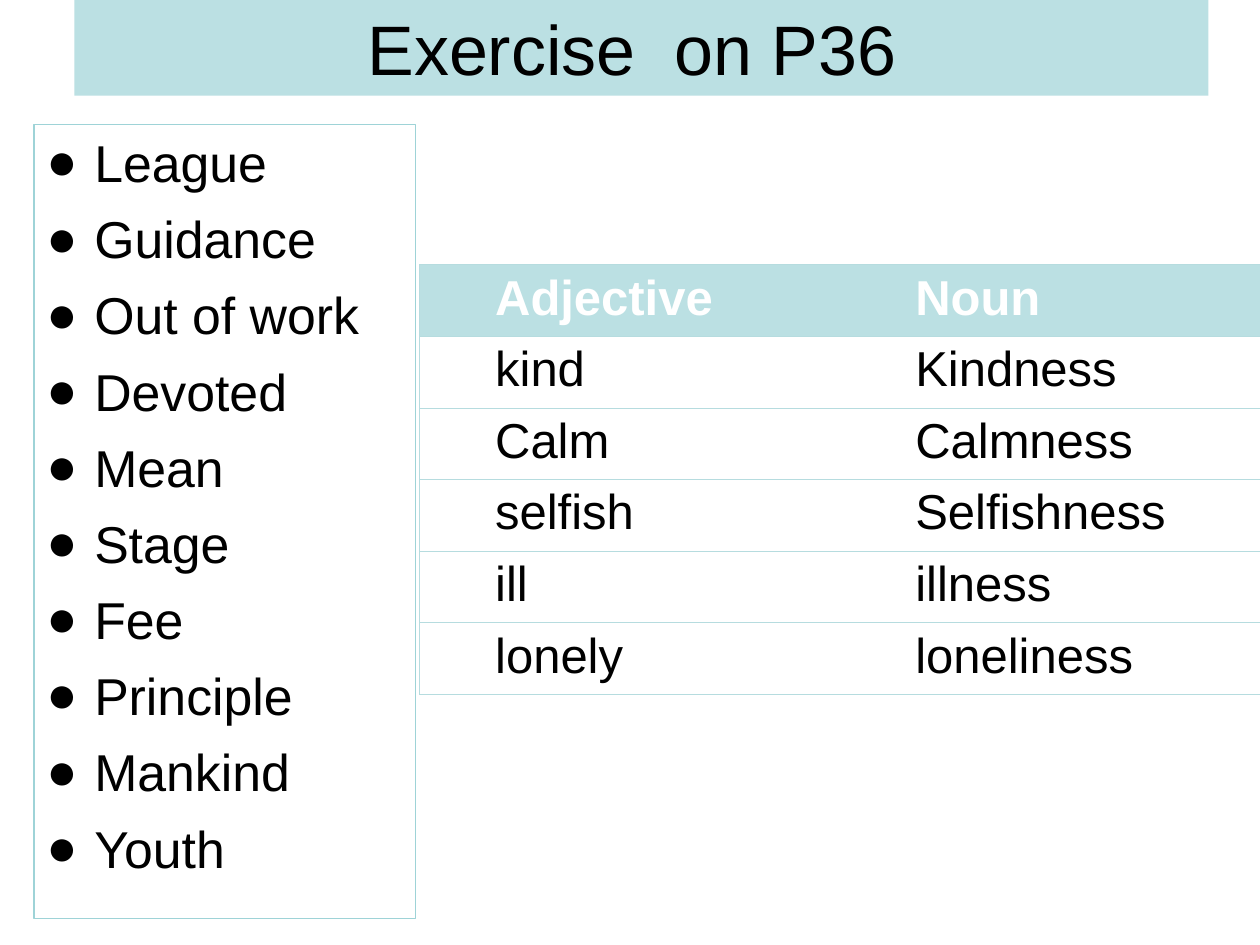
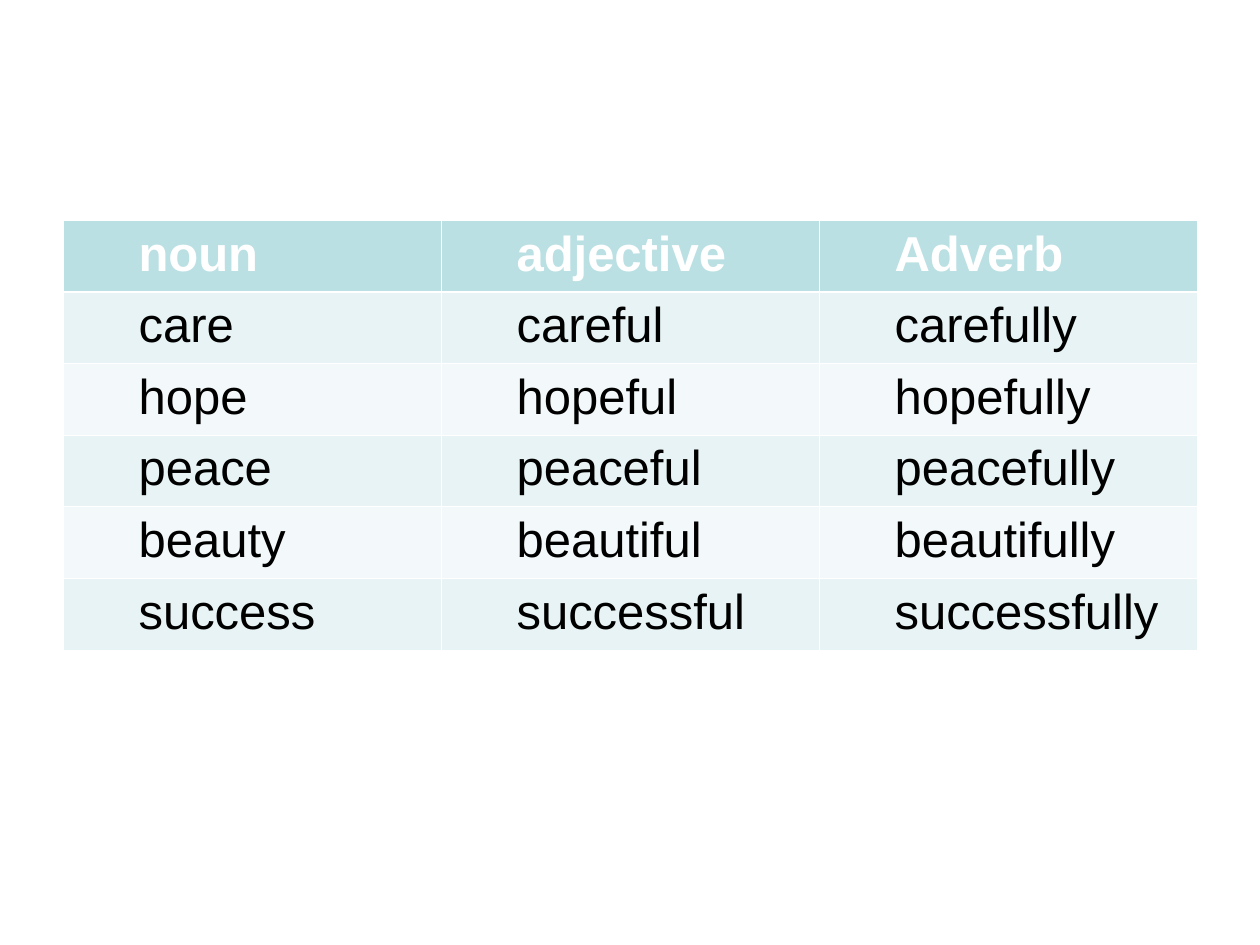
import pptx
import pptx.util
import pptx.dml.color
import pptx.enum.shapes
import pptx.enum.text
import pptx.oxml.ns
import lxml.etree
from dataclasses import dataclass

Inches, Pt = pptx.util.Inches, pptx.util.Pt

# Content
TITLE = "Exercise  on P36"
WORDS = ["League", "Guidance", "Out of work", "Devoted", "Mean",
         "Stage", "Fee", "Principle", "Mankind", "Youth"]
NOUN_ROWS = [
    ("Adjective", "Noun"),
    ("kind", "Kindness"),
    ("Calm", "Calmness"),
    ("selfish", "Selfishness"),
    ("ill", "illness"),
    ("lonely", "loneliness"),
]
ADVERB_ROWS = [
    ("noun", "adjective", "Adverb"),
    ("care", "careful", "carefully"),
    ("hope", "hopeful", "hopefully"),
    ("peace", "peaceful", "peacefully"),
    ("beauty", "beautiful", "beautifully"),
    ("success", "successful", "successfully"),
]


@dataclass(frozen=True)
class Theme:
    font: str = "Arial"
    text: str = "000000"
    white: str = "FFFFFF"
    accent: str = "BBE0E3"
    list_line: str = "9ED3D7"
    grid_line: str = "B6DCDF"
    bands: tuple = ("E7F3F4", "F3F9FA")
    title_size: float = 40
    list_size: float = 29.6
    table_size: float = 28
    thin: float = 0.34
    rule: float = 0.45
    header_rule: float = 1.47


THEME = Theme()


def rgb(color):
    return pptx.dml.color.RGBColor.from_string(color)


def format_runs(p, size, color, bold=False):
    for r in p.runs:
        r.font.name = THEME.font
        r.font.size = Pt(size)
        r.font.bold = bold
        r.font.color.rgb = rgb(color)


def sub(parent, tag, **attrs):
    return lxml.etree.SubElement(parent, pptx.oxml.ns.qn(tag), attrs)


def set_indent(p, left, first=0):
    pPr = p._p.get_or_add_pPr()
    pPr.set("marL", str(Inches(left)))
    pPr.set("indent", str(Inches(first)))
    return pPr


def add_box(slide, left, top, width, height, fill=None, line=None):
    sp = slide.shapes.add_shape(pptx.enum.shapes.MSO_SHAPE.RECTANGLE, Inches(left),
                                Inches(top), Inches(width), Inches(height))
    sp.shadow.inherit = False
    if fill:
        sp.fill.solid()
        sp.fill.fore_color.rgb = rgb(fill)
    else:
        sp.fill.background()
    if line:
        sp.line.color.rgb = rgb(line)
        sp.line.width = Pt(0.75)
    else:
        sp.line.fill.background()
    return sp


def add_title(slide, text):
    sp = add_box(slide, 0.59, 0, 9, 0.76, fill=THEME.accent)
    tf = sp.text_frame
    tf.text = text
    tf.margin_right = Inches(0.25)
    tf.vertical_anchor = pptx.enum.text.MSO_ANCHOR.MIDDLE
    p = tf.paragraphs[0]
    p.alignment = pptx.enum.text.PP_ALIGN.CENTER
    format_runs(p, THEME.title_size, THEME.text)


def add_word_list(slide, words):
    sp = add_box(slide, 0.27, 0.99, 3.03, 6.3, line=THEME.list_line)
    tf = sp.text_frame
    tf.text = "\n".join(words)
    tf.vertical_anchor = pptx.enum.text.MSO_ANCHOR.TOP
    for i, p in enumerate(tf.paragraphs):
        p.alignment = pptx.enum.text.PP_ALIGN.LEFT
        p.space_before = Pt(8 if i else 0)
        pPr = set_indent(p, 0.38, -0.38)
        sub(sub(pPr, "a:buClr"), "a:srgbClr", val=THEME.text)
        sub(pPr, "a:buFont", typeface=THEME.font)
        sub(pPr, "a:buChar", char="●")
        format_runs(p, THEME.list_size, THEME.text)


def set_borders(cell, borders):
    """Draw the given sides as (colour, width) and clear the others."""
    tcPr = cell._tc.get_or_add_tcPr()
    for i, side in enumerate("LRTB"):
        color, width = borders.get(side, (None, 0))
        ln = lxml.etree.Element(pptx.oxml.ns.qn("a:ln" + side), w=str(Pt(width)))
        if color:
            sub(sub(ln, "a:solidFill"), "a:srgbClr", val=color)
        else:
            sub(ln, "a:noFill")
        tcPr.insert(i, ln)


def outline_borders(row, col, columns):
    line = (THEME.grid_line, THEME.thin)
    borders = {"T": line, "B": line}
    if col == 0:
        borders["L"] = line
    if col == columns - 1:
        borders["R"] = line
    return borders


def grid_borders(row, col, columns):
    borders = dict.fromkeys("LRTB", (THEME.white, THEME.rule))
    if row < 2:
        borders["B" if row == 0 else "T"] = (THEME.white, THEME.header_rule)
    return borders


def add_word_table(slide, rows, left, top, width, borders, bands=None):
    columns = len(rows[0])
    frame = slide.shapes.add_table(len(rows), columns, Inches(left), Inches(top),
                                   Inches(width), Inches(3.41))
    table = frame.table
    for r, words in enumerate(rows):
        header = r == 0
        for c, word in enumerate(words):
            cell = table.cell(r, c)
            cell.text = word
            p = cell.text_frame.paragraphs[0]
            set_indent(p, 0.5)
            format_runs(p, THEME.table_size, THEME.white if header else THEME.text, header)
            fill = THEME.accent if header else bands and bands[(r - 1) % len(bands)]
            if fill:
                cell.fill.solid()
                cell.fill.fore_color.rgb = rgb(fill)
            else:
                cell.fill.background()
            set_borders(cell, borders(r, c, columns))


def main():
    prs = pptx.Presentation()
    prs.slide_width, prs.slide_height = Inches(10), Inches(7.5)
    blank = prs.slide_layouts[6]

    # Exercise: word list and adjective-noun pairs
    slide = prs.slides.add_slide(blank)
    add_title(slide, TITLE)
    add_word_list(slide, WORDS)
    add_word_table(slide, NOUN_ROWS, 3.33, 2.1, 6.67, outline_borders)

    # Noun, adjective and adverb families
    slide = prs.slides.add_slide(blank)
    add_word_table(slide, ADVERB_ROWS, 0.5, 1.75, 9, grid_borders, THEME.bands)

    prs.save("out.pptx")


if __name__ == "__main__":
    main()
